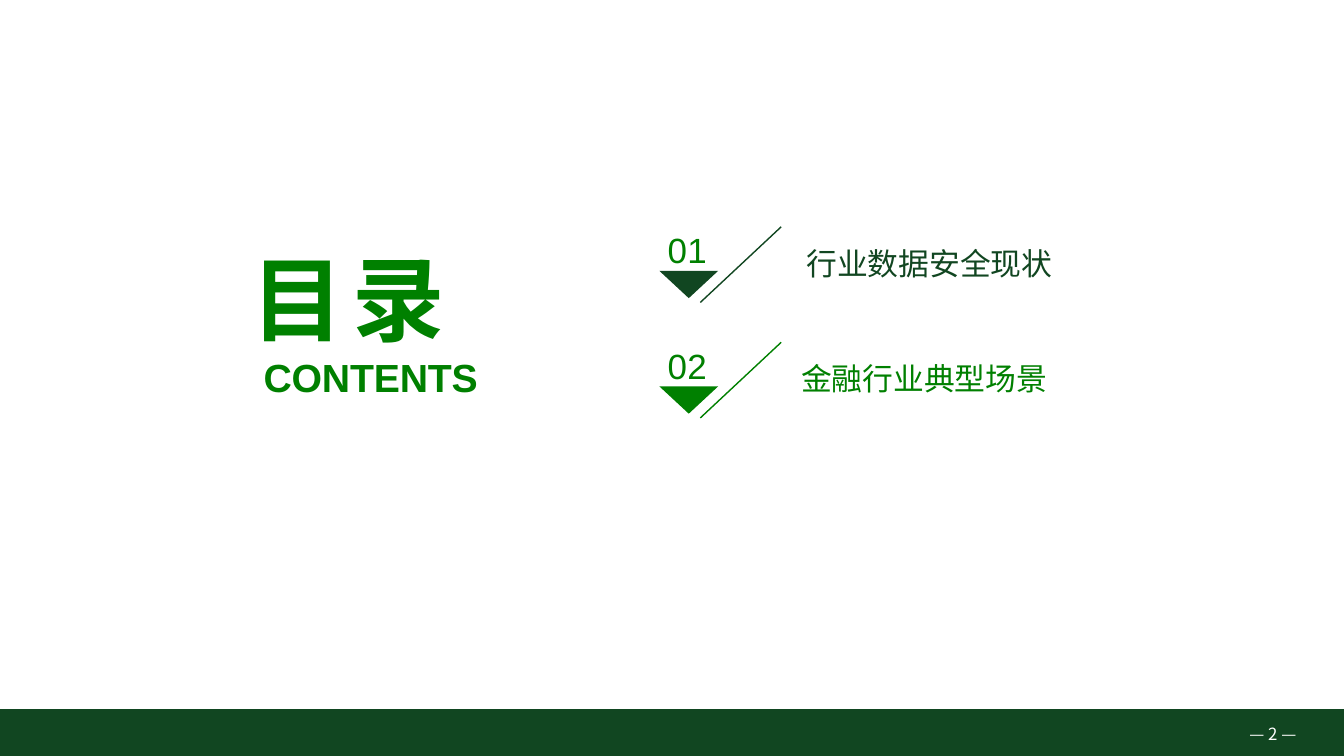
from dataclasses import dataclass

from lxml import etree
from pptx import Presentation
from pptx import util as u
from pptx.dml.color import RGBColor
from pptx.enum import text
from pptx.oxml import ns

PX = 9525  # EMU in one px, 96 px to the inch


@dataclass(frozen=True)
class Theme:
    dark: RGBColor = RGBColor(0x11, 0x46, 0x21)
    green: RGBColor = RGBColor(0x00, 0x80, 0x00)
    white: RGBColor = RGBColor(0xFF, 0xFF, 0xFF)
    latin: str = "Arial"
    chinese: str = "Noto Sans CJK SC"
    title: int = 66
    subtitle: int = 28
    number: int = 25
    item: int = 22
    page: int = 12


THEME = Theme()


def add_outline(slide, points, fill=None, line=None):
    """Draw a closed filled outline, or an open stroke when no fill is given."""
    builder = slide.shapes.build_freeform(*points[0], scale=PX)
    builder.add_line_segments(points[1:], close=fill is not None)
    shape = builder.convert_to_shape()
    shape.shadow.inherit = False
    if fill is None:
        shape.fill.background()
        shape.line.color.rgb = line
        shape.line.width = u.Pt(1)
    else:
        shape.fill.solid()
        shape.fill.fore_color.rgb = fill
        shape.line.fill.background()


def add_text_frame(slide, left, top, width, height):
    """Add a text box without margins whose text rests on its lower edge."""
    box = slide.shapes.add_textbox(left * PX, top * PX, width * PX, height * PX)
    frame = box.text_frame
    frame.word_wrap = True
    frame.vertical_anchor = text.MSO_ANCHOR.BOTTOM
    frame.margin_left = frame.margin_right = frame.margin_bottom = 0
    frame.margin_top = PX
    return frame


def write(paragraph, words, size, color, font, bold=False, indent=1, spacing=0, tab=None):
    """Fill a paragraph; spacing is in hundredths of a point, indent and tab in px."""
    run = paragraph.add_run()
    run.text = words
    run.font.size = u.Pt(size)
    run.font.bold = bold
    run.font.color.rgb = color
    run.font.name = font
    run_properties = run.font._element
    east_asian = etree.SubElement(run_properties, ns.qn("a:ea"))
    east_asian.set("typeface", font)
    if spacing:
        run_properties.set("spc", str(spacing))
    properties = paragraph._p.get_or_add_pPr()
    properties.set("marL", str(indent * PX))
    properties.set("indent", "0")
    if tab:
        tabs = etree.SubElement(properties, ns.qn("a:tabLst"))
        etree.SubElement(tabs, ns.qn("a:tab"), pos=str(tab * PX), algn="l")


def add_heading(slide, left, top, width, height):
    frame = add_text_frame(slide, left, top, width, height)
    write(frame.paragraphs[0], "目\t录", THEME.title, THEME.green, THEME.chinese,
          bold=True, tab=138)
    write(frame.add_paragraph(), "CONTENTS", THEME.subtitle, THEME.green, THEME.latin,
          bold=True, indent=12, spacing=-10)


def add_item(slide, left, top, number, label, color, label_offset):
    """Place a number above a triangle, a slanted stroke and a label."""
    label_frame = add_text_frame(slide, left + label_offset, top + 15, 237, 37)
    write(label_frame.paragraphs[0], label, THEME.item, color, THEME.chinese)
    add_outline(slide, [(left + 116, top), (left + 39, top + 72)], line=color)
    add_outline(slide, [(left + 56, top + 42), (left, top + 42), (left + 28, top + 68)],
                fill=color)
    number_frame = add_text_frame(slide, left + 7, top, 40, 42)
    write(number_frame.paragraphs[0], number, THEME.number, THEME.green, THEME.latin,
          spacing=20)


def add_footer(slide, left, top, width, height):
    right, bottom = left + width, top + height
    add_outline(slide, [(left, bottom), (left, top), (right, top), (right, bottom)],
                fill=THEME.dark)
    frame = add_text_frame(slide, right - 91, top + 9, 65, 24)
    write(frame.paragraphs[0], "— 2 —", THEME.page, THEME.white, THEME.chinese)


def add_contents_slide(presentation):
    slide = presentation.slides.add_slide(presentation.slide_layouts[6])
    add_footer(slide, 0, 675, 1280, 45)
    items = [
        ("01", "行业数据安全现状", THEME.dark, 139),
        ("02", "金融行业典型场景", THEME.green, 134),
    ]
    for row, item in enumerate(items):
        add_item(slide, 628, 216 + 110 * row, *item)
    add_heading(slide, 239, 227, 228, 154)


def main():
    presentation = Presentation()
    presentation.slide_width = 1280 * PX
    presentation.slide_height = 720 * PX
    add_contents_slide(presentation)
    presentation.save("out.pptx")


if __name__ == "__main__":
    main()
